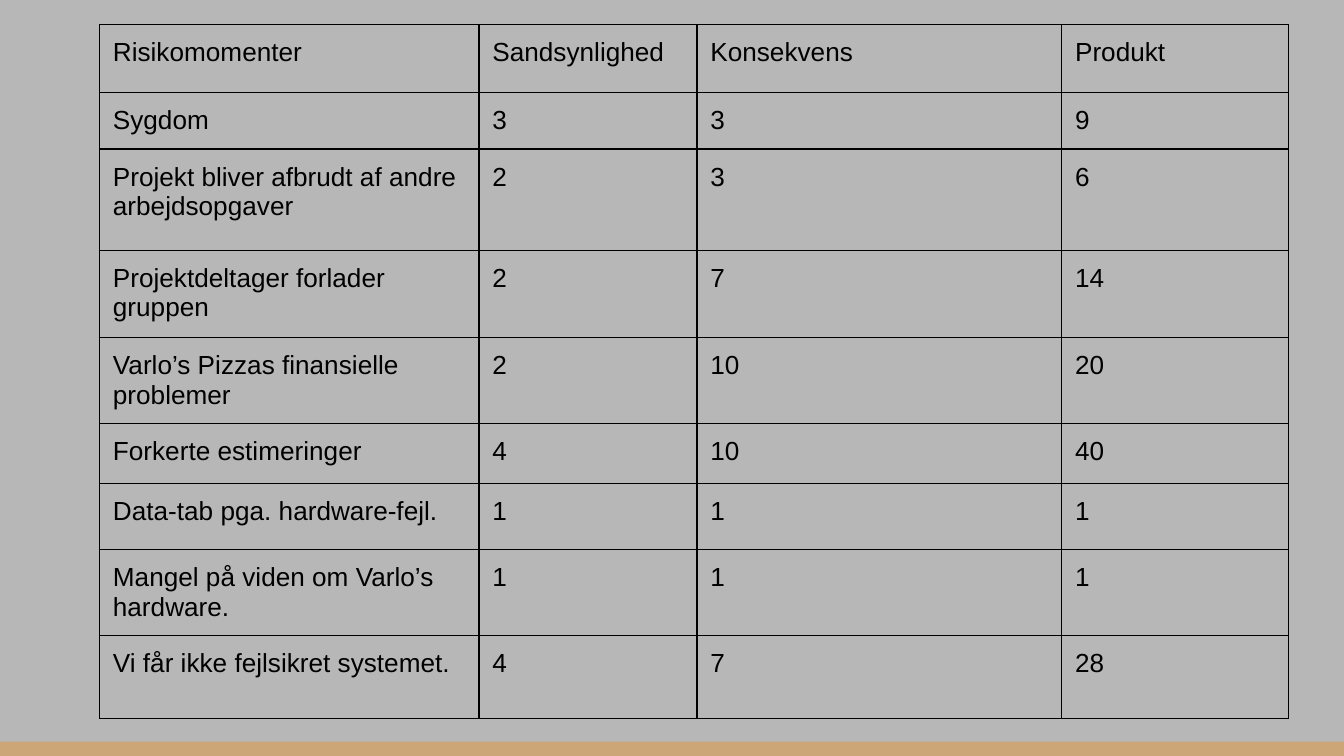
from dataclasses import dataclass

from lxml import etree
from pptx import Presentation
from pptx.dml.color import RGBColor
from pptx.enum.shapes import MSO_SHAPE
from pptx.oxml.ns import qn
from pptx.util import Inches, Pt

RECTANGLE = MSO_SHAPE.RECTANGLE
BLANK_LAYOUT = 6
GRID = 100


@dataclass(frozen=True)
class Theme:
    background: str = "B7B7B7"
    accent: str = "CCA677"
    ink: str = "000000"
    font: str = "Arial"
    text_size: float = 14
    border_width: float = 0.75
    cell_margin: float = 0.1


class SlideBuilder:
    def __init__(self, deck, theme):
        self.deck = deck
        self.theme = theme
        self.slide = deck.slides.add_slide(deck.slide_layouts[BLANK_LAYOUT])

    def columns(self, count):
        return round(self.deck.slide_width * count / GRID)

    def rows(self, count):
        return round(self.deck.slide_height * count / GRID)

    def background(self):
        fill = self.slide.background.fill
        fill.solid()
        fill.fore_color.rgb = RGBColor.from_string(self.theme.background)

    def bar(self, left, top, width, height):
        box = self.slide.shapes.add_shape(
            RECTANGLE, self.columns(left), self.rows(top),
            self.columns(width), self.rows(height))
        box.shadow.inherit = False
        box.fill.solid()
        box.fill.fore_color.rgb = RGBColor.from_string(self.theme.accent)
        box.line.fill.background()

    def table(self, left, top, widths, heights, records):
        frame = self.slide.shapes.add_table(
            len(heights), len(widths), self.columns(left), self.rows(top),
            self.columns(sum(widths)), self.rows(sum(heights)))
        table = frame.table
        table.first_row = table.horz_banding = False
        for column, width in zip(table.columns, widths):
            column.width = self.columns(width)
        for row, height, record in zip(table.rows, heights, records):
            row.height = self.rows(height)
            for cell, value in zip(row.cells, record):
                self.cell(cell, value)

    def cell(self, cell, value):
        margin = Inches(self.theme.cell_margin)
        for side in ("left", "right", "top", "bottom"):
            setattr(cell, f"margin_{side}", margin)
        cell.fill.background()
        self.borders(cell)
        span = cell.text_frame.paragraphs[0].add_run()
        span.text = str(value)
        style = {"name": self.theme.font, "size": Pt(self.theme.text_size), "bold": False}
        for name, setting in style.items():
            setattr(span.font, name, setting)
        span.font.color.rgb = RGBColor.from_string(self.theme.ink)

    def borders(self, cell):
        properties = cell._tc.get_or_add_tcPr()
        for position, edge in enumerate(("lnL", "lnR", "lnT", "lnB")):
            line = etree.Element(qn(f"a:{edge}"), w=str(Pt(self.theme.border_width)))
            fill = etree.SubElement(line, qn("a:solidFill"))
            etree.SubElement(fill, qn("a:srgbClr"), val=self.theme.ink)
            properties.insert(position, line)


HEADINGS = ("Risikomomenter", "Sandsynlighed", "Konsekvens", "Produkt")
RISKS = (
    ("Sygdom", 3, 3),
    ("Projekt bliver afbrudt af andre arbejdsopgaver", 2, 3),
    ("Projektdeltager forlader gruppen", 2, 7),
    ("Varlo’s Pizzas finansielle problemer", 2, 10),
    ("Forkerte estimeringer", 4, 10),
    ("Data-tab pga. hardware-fejl.", 1, 1),
    ("Mangel på viden om Varlo’s hardware.", 1, 1),
    ("Vi får ikke fejlsikret systemet.", 4, 7),
)
COLUMN_WIDTHS = (28.24, 16.22, 27.14, 16.87)
ROW_HEIGHTS = (9.07, 6.76, 13.4, 11.56, 11.02, 8, 8.71, 11.02, 11.02)


def main():
    deck = Presentation()
    deck.slide_width = Inches(10)
    deck.slide_height = deck.slide_width * 9 // 16
    page = SlideBuilder(deck, Theme())
    page.background()
    page.bar(0, 98.1, GRID, 1.9)
    records = [HEADINGS] + [
        (risk, likelihood, impact, likelihood * impact)
        for risk, likelihood, impact in RISKS
    ]
    page.table(7.4, 3.2, COLUMN_WIDTHS, ROW_HEIGHTS, records)
    deck.save("out.pptx")


if __name__ == "__main__":
    main()
